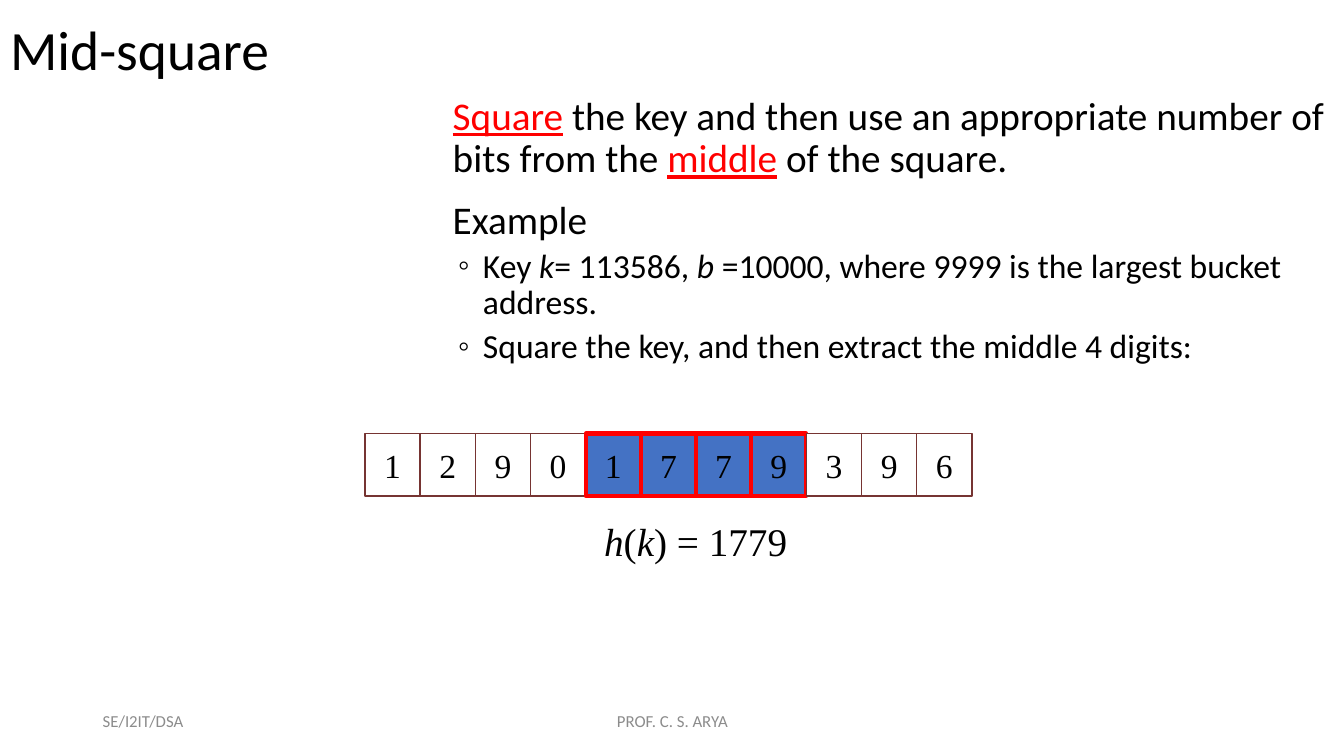
from lxml.etree import SubElement
from pptx import Presentation
from pptx.dml.color import RGBColor
from pptx.enum.shapes import MSO_SHAPE
from pptx.enum.text import MSO_ANCHOR, MSO_AUTO_SIZE, PP_ALIGN
from pptx.oxml.ns import qn
from pptx.util import Inches, Pt

COLORS = {
    "black": "000000",
    "red": "FF0000",
    "gray": "8C8C8C",
    "white": "FFFFFF",
    "blue": "4472C4",
    "brown": "763432",
}
SANS, SERIF = "Calibri", "Times New Roman"


def place(shape, left, top, width, height, anchor):
    shape.left, shape.top = Inches(left), Inches(top)
    shape.width, shape.height = Inches(width), Inches(height)
    frame = shape.text_frame
    frame.word_wrap = True
    frame.auto_size = MSO_AUTO_SIZE.NONE
    frame.vertical_anchor = anchor
    return frame


def write(para, text, size, face=SANS, color="black", italic=False):
    run = para.add_run()
    run.text = text
    run.font.size = Pt(size)
    run.font.name = face
    run.font.color.rgb = RGBColor.from_string(COLORS[color])
    run.font.italic = italic
    return run


deck = Presentation()
deck.slide_width, deck.slide_height = Inches(13.33), Inches(7.5)
slide = deck.slides.add_slide(deck.slide_layouts[1])
shapes = slide.shapes

frame = place(shapes.title, 0, 0.3, 9, 0.61, MSO_ANCHOR.BOTTOM)
frame.margin_bottom = Inches(0.1)
para = frame.paragraphs[0]
para.alignment = PP_ALIGN.LEFT
para.line_spacing = 0.85
write(para, "Mid-square", 39.6)

body = place(slide.placeholders[1], 4.19, 0.91, 9.15, 6.3, MSO_ANCHOR.TOP)
body.margin_left = body.margin_right = 0
points = [
    (0, 0, [("Square", "key"),
            (" the key and then use an appropriate number of bits from the ", ""),
            ("middle", "key"), (" of the square.", "")]),
    (0, 14, [("Example", "")]),
    (1, 4, [("Key ", ""), ("k", "var"), ("= 113586, ", ""), ("b", "var"),
            (" =10000, where 9999 is the largest bucket address.", "")]),
    (1, 6, [("Square the key, and then extract the middle 4 digits:", "")]),
]
for row, (level, space, parts) in enumerate(points):
    para = body.paragraphs[0] if row == 0 else body.add_paragraph()
    para.level = level
    para.line_spacing = 0.9
    para.space_before = Pt(space)
    props = para._p.get_or_add_pPr()
    props.set("marL", str(Inches(0.6 if level else 0.3)))
    props.set("indent", str(Inches(-0.25 if level else 0)))
    if level:
        SubElement(props, qn("a:buChar")).set("char", "◦")
    else:
        SubElement(props, qn("a:buNone"))
    for text, style in parts:
        color = "red" if style == "key" else "black"
        run = write(para, text, 24 if level else 28, SANS, color, style == "var")
        run.font.underline = style == "key"

left, width = 3.62, 6.02
digits = "12901779396"
step = width / len(digits)
middle = range(4, 8)
for spot, digit in enumerate(digits):
    cell = shapes.add_shape(MSO_SHAPE.RECTANGLE, 0, 0, 0, 0)
    frame = place(cell, left + spot * step, 4.3, step, 0.62, MSO_ANCHOR.MIDDLE)
    picked = spot in middle
    cell.shadow.inherit = False
    cell.fill.solid()
    cell.fill.fore_color.rgb = RGBColor.from_string(COLORS["blue" if picked else "white"])
    cell.line.color.rgb = RGBColor.from_string(COLORS["red" if picked else "brown"])
    cell.line.width = Pt(3 if picked else 1)
    para = frame.paragraphs[0]
    para.alignment = PP_ALIGN.CENTER
    write(para, digit, 24, SERIF)

box = shapes.add_textbox(0, 0, 0, 0)
para = place(box, 5.73, 5.08, 2.34, 0.57, MSO_ANCHOR.TOP).paragraphs[0]
para.alignment = PP_ALIGN.CENTER
for text in ("h", "(", "k", ") = 1779"):
    write(para, text, 28, SERIF, italic=text.isalpha())

for text, start, width, align in (
    ("SE/I2IT/DSA", 0.92, 3, PP_ALIGN.LEFT),
    ("PROF. C. S. ARYA", 4.42, 4.5, PP_ALIGN.CENTER),
):
    box = shapes.add_textbox(0, 0, 0, 0)
    para = place(box, start, 6.95, width, 0.4, MSO_ANCHOR.MIDDLE).paragraphs[0]
    para.alignment = align
    write(para, text, 12, color="gray")

deck.save("out.pptx")
